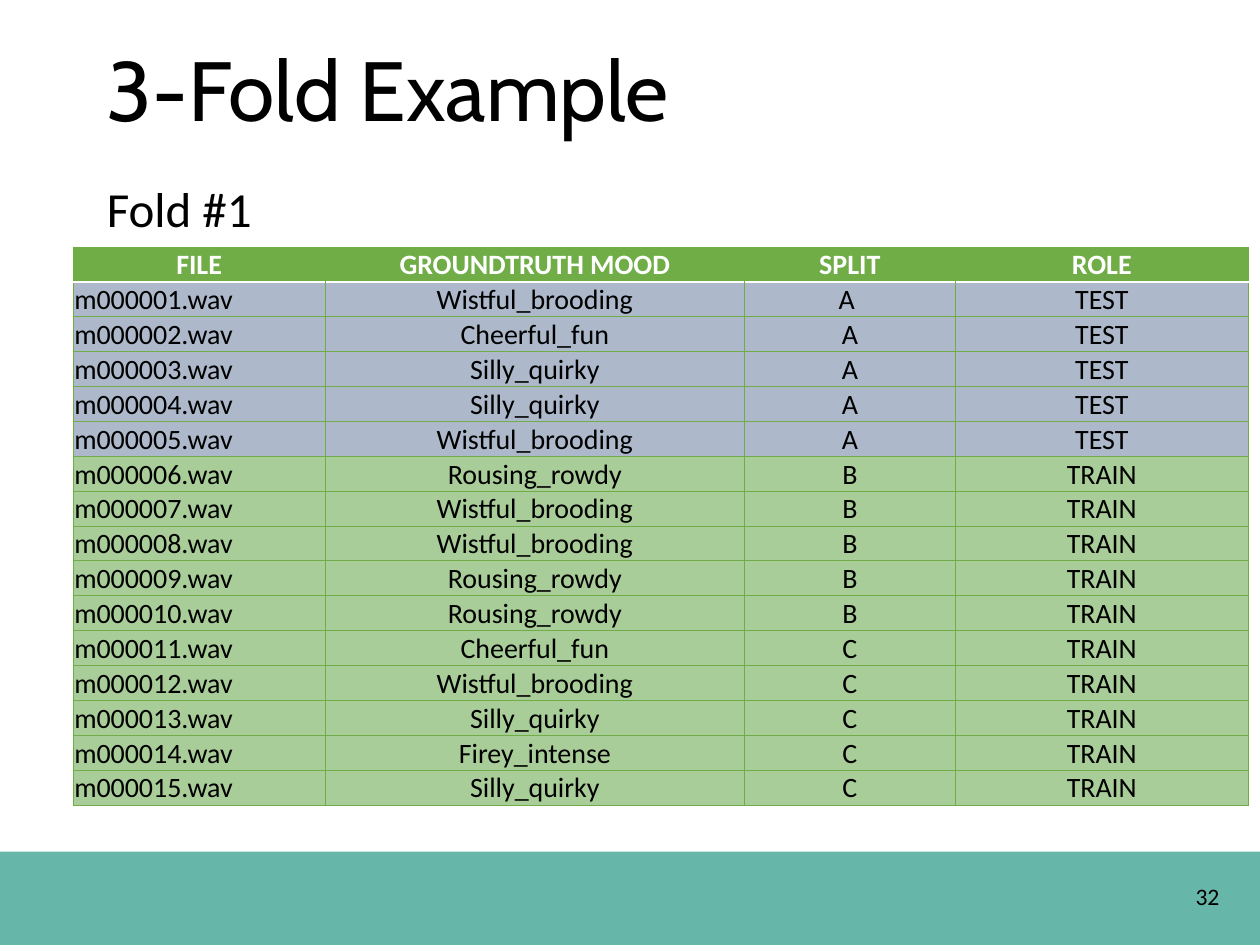
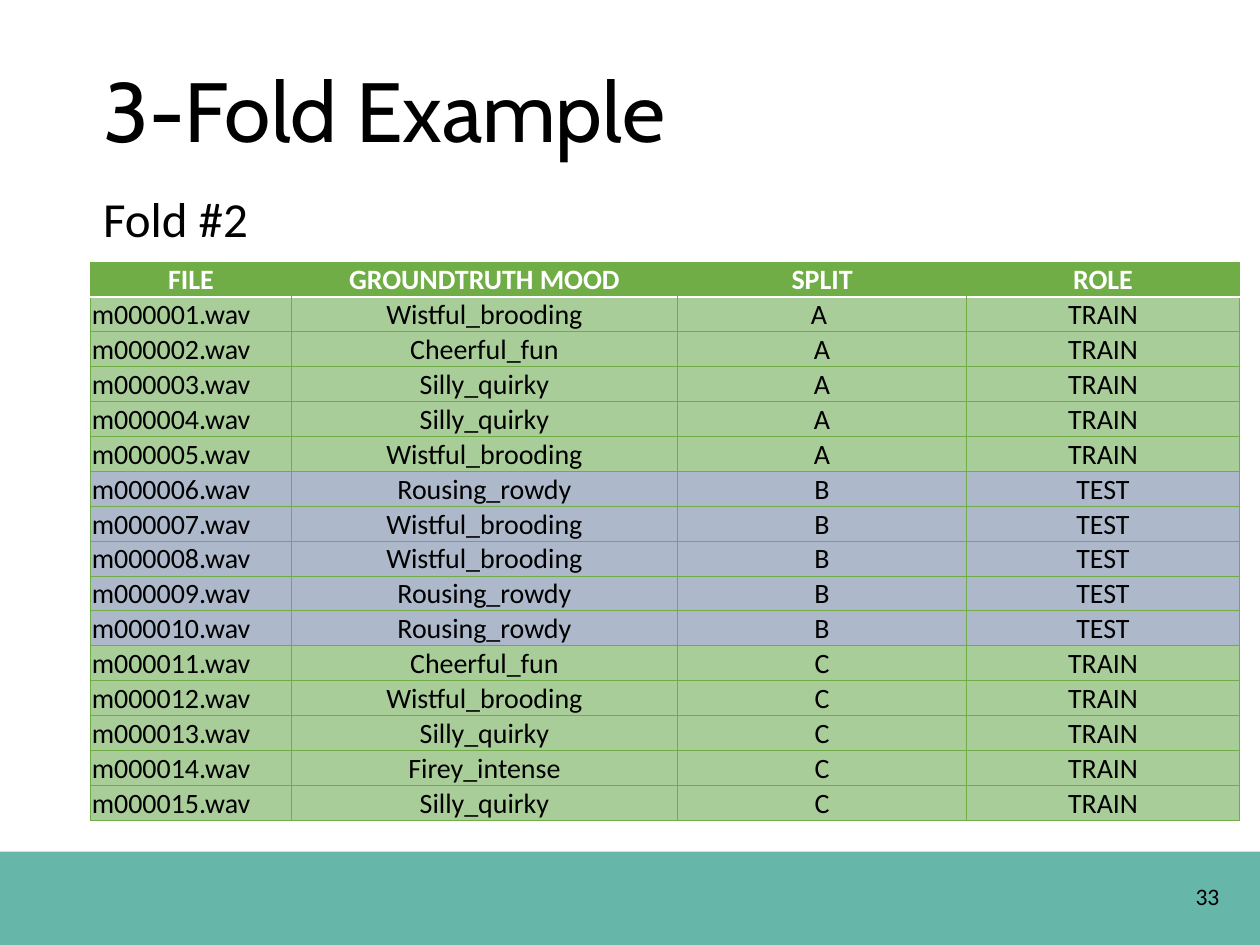
import pptx
import pptx.dml.color
import pptx.enum.shapes
import pptx.enum.text
import pptx.oxml
import pptx.oxml.ns
import pptx.util
from pptx.util import Inches

COLORS = {
    "band": "319F8D",
    "text": "000000",
    "header": "70AD47",
    "header_text": "FFFFFF",
    "TRAIN": "A9CD98",
    "TEST": "ADB9CA",
}
BAND_OPACITY = 74
TITLE_FONT, BODY_FONT = "Cabin", "Calibri"
SLIDE_WIDTH, SLIDE_HEIGHT = 10, 7.5
BAND_TOP = 6.76
TABLE_HEIGHT = 4.43

HEADINGS = ["FILE", "GROUNDTRUTH MOOD", "SPLIT", "ROLE"]
MOODS_BY_SPLIT = {
    "A": ["Wistful_brooding", "Cheerful_fun", "Silly_quirky",
          "Silly_quirky", "Wistful_brooding"],
    "B": ["Rousing_rowdy", "Wistful_brooding", "Wistful_brooding",
          "Rousing_rowdy", "Rousing_rowdy"],
    "C": ["Cheerful_fun", "Wistful_brooding", "Silly_quirky",
          "Firey_intense", "Silly_quirky"],
}
# Boxes are (left, top, width, height) in inches.
FOLDS = [
    {"number": 1, "page": 32, "test_split": "A",
     "title_box": (0.75, 0.02, 8.62, 1.45),
     "label_box": (0.75, 1.37, 1.92, 0.57),
     "table_corner": (0.58, 1.96), "columns": [2, 3.33, 1.67, 2.33]},
    {"number": 2, "page": 33, "test_split": "B",
     "title_box": (0.72, 0.19, 8.62, 1.45),
     "label_box": (0.72, 1.45, 2.42, 0.57),
     "table_corner": (0.72, 2.08), "columns": [1.59, 3.07, 2.29, 2.17]},
]


def rgb(name):
    return pptx.dml.color.RGBColor.from_string(COLORS[name])


def add_run(paragraph, text, size, font=BODY_FONT, color="text", bold=False):
    run = paragraph.add_run()
    run.text = text
    run.font.name = font
    run.font.size = pptx.util.Pt(size)
    run.font.bold = bold
    run.font.color.rgb = rgb(color)


def add_text(slide, box, text, size, font=BODY_FONT, middle=False, spacing=None):
    frame = slide.shapes.add_textbox(*map(Inches, box)).text_frame
    frame.word_wrap = True
    if middle:
        frame.vertical_anchor = pptx.enum.text.MSO_ANCHOR.MIDDLE
    paragraph = frame.paragraphs[0]
    paragraph.line_spacing = spacing
    add_run(paragraph, text, size, font)


def add_footer(slide, page):
    """Draw the translucent band with the page number on it."""
    band = slide.shapes.add_shape(
        pptx.enum.shapes.MSO_SHAPE.RECTANGLE, 0, Inches(BAND_TOP),
        Inches(SLIDE_WIDTH), Inches(SLIDE_HEIGHT - BAND_TOP))
    band.shadow.inherit = False
    band.line.fill.background()
    band.fill.solid()
    band.fill.fore_color.rgb = rgb("band")
    fill_color = band.fill._xPr.find(".//" + pptx.oxml.ns.qn("a:srgbClr"))
    fill_color.append(pptx.oxml.parse_xml(
        f'<a:alpha {pptx.oxml.ns.nsdecls("a")} val="{BAND_OPACITY * 1000}"/>'))
    add_text(slide, (9.39, BAND_TOP + 0.19, 0.61, 0.4), str(page), 13.5)


def add_border(cell, side, color, points):
    """Line one side (L, R, T or B) of a cell; no color means no line."""
    fill = (f'<a:solidFill><a:srgbClr val="{COLORS[color]}"/></a:solidFill>'
            if color else "<a:noFill/>")
    cell._tc.get_or_add_tcPr().append(pptx.oxml.parse_xml(
        f'<a:ln{side} {pptx.oxml.ns.nsdecls("a")} w="{pptx.util.Pt(points)}">'
        f"{fill}</a:ln{side}>"))


def border_cell(cell, row, column):
    last = len(HEADINGS) - 1
    is_header = row == 0
    left = None if is_header and column > 0 else "header"
    right = None if is_header and column < last else "header"
    add_border(cell, "L", left, 0.5)
    add_border(cell, "R", right, 0.5)
    rule = ("header_text", 1)
    add_border(cell, "T", *(rule if row == 1 else ("header", 0.5)))
    add_border(cell, "B", *(rule if is_header else ("header", 0.5)))


def fold_rows(test_split):
    rows = []
    for split, moods in MOODS_BY_SPLIT.items():
        role = "TEST" if split == test_split else "TRAIN"
        for mood in moods:
            number = len(rows) + 1
            split_text = "A " if number == 1 else split
            rows.append([f"m{number:06}.wav", mood, split_text, role])
    return rows


def add_fold_table(slide, corner, widths, test_split):
    rows = [HEADINGS] + fold_rows(test_split)
    left, top = corner
    table = slide.shapes.add_table(
        len(rows), len(HEADINGS), Inches(left), Inches(top),
        Inches(sum(widths)), Inches(TABLE_HEIGHT)).table
    table.horz_banding = False
    for column, width in zip(table.columns, widths):
        column.width = Inches(width)
    for r, values in enumerate(rows):
        is_header = r == 0
        for c, value in enumerate(values):
            cell = table.cell(r, c)
            cell.margin_left = cell.margin_right = cell.margin_top = Inches(0.01)
            cell.margin_bottom = 0
            cell.vertical_anchor = pptx.enum.text.MSO_ANCHOR.BOTTOM
            border_cell(cell, r, c)
            cell.fill.solid()
            cell.fill.fore_color.rgb = rgb("header" if is_header else values[-1])
            paragraph = cell.text_frame.paragraphs[0]
            if is_header or c > 0:
                paragraph.alignment = pptx.enum.text.PP_ALIGN.CENTER
            add_run(paragraph, value, 16, bold=is_header,
                    color="header_text" if is_header else "text")


def add_fold_slide(deck, fold):
    slide = deck.slides.add_slide(deck.slide_layouts[6])
    add_footer(slide, fold["page"])
    add_text(slide, fold["title_box"], "3-Fold Example", 48, TITLE_FONT,
             middle=True, spacing=0.9)
    add_fold_table(slide, fold["table_corner"], fold["columns"], fold["test_split"])
    add_text(slide, fold["label_box"], f"Fold #{fold['number']}", 28)


def main():
    deck = pptx.Presentation()
    deck.slide_width = Inches(SLIDE_WIDTH)
    deck.slide_height = Inches(SLIDE_HEIGHT)
    for fold in FOLDS:
        add_fold_slide(deck, fold)
    deck.save("out.pptx")


if __name__ == "__main__":
    main()
